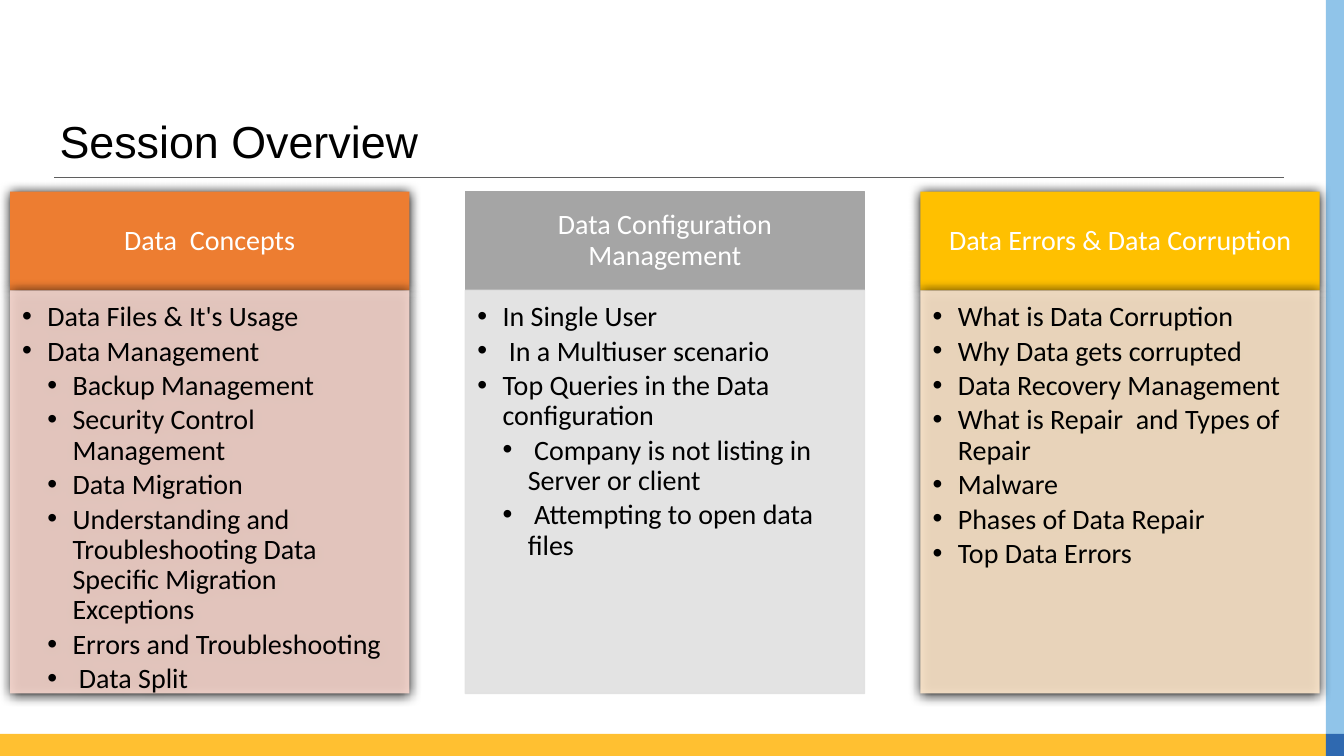
from dataclasses import dataclass

from lxml import etree
from pptx import Presentation
from pptx.dml.color import RGBColor
from pptx.enum.shapes import MSO_CONNECTOR, MSO_SHAPE
from pptx.enum.text import MSO_ANCHOR, MSO_AUTO_SIZE, PP_ALIGN
from pptx.oxml.ns import qn
from pptx.util import Inches, Pt

RECT = MSO_SHAPE.RECTANGLE
STRAIGHT = MSO_CONNECTOR.STRAIGHT
TOP, MIDDLE = MSO_ANCHOR.TOP, MSO_ANCHOR.MIDDLE
LEFT, CENTER = PP_ALIGN.LEFT, PP_ALIGN.CENTER
NO_FIT = MSO_AUTO_SIZE.NONE


@dataclass(frozen=True)
class Theme:
    title_font: str = "Arial"
    body_font: str = "Calibri"
    title_size: int = 32
    body_size: int = 20
    text: str = "000000"
    header_text: str = "FFFFFF"
    rule: str = "5F5F5F"
    bottom_bar: str = "FFC031"
    side_bar: str = "90C4E9"
    corner: str = "2F69B0"


THEME = Theme()

COLUMNS = [
    {"header": "Data  Concepts", "dark": "ED7D31", "light": "F8D7CE", "raised": True,
     "items": [(0, "Data Files & It's Usage"), (0, "Data Management"),
               (1, "Backup Management"), (1, "Security Control Management"),
               (1, "Data Migration"),
               (1, "Understanding and Troubleshooting Data Specific Migration Exceptions"),
               (1, "Errors and Troubleshooting"), (1, " Data Split")]},
    {"header": "Data Configuration Management", "dark": "A5A5A5", "light": "E1E1E1",
     "raised": False,
     "items": [(0, "In Single User"), (0, " In a Multiuser scenario"),
               (0, "Top Queries in the Data configuration"),
               (1, " Company is not listing in Server or client"),
               (1, " Attempting to open data files")]},
    {"header": "Data Errors & Data Corruption", "dark": "FFC000", "light": "FFE8CC",
     "raised": True,
     "items": [(0, "What is Data Corruption"), (0, "Why Data gets corrupted"),
               (0, "Data Recovery Management"),
               (0, "What is Repair  and Types of Repair"), (0, "Malware"),
               (0, "Phases of Data Repair"), (0, "Top Data Errors")]},
]


def set_attrs(target, values):
    for name, value in values.items():
        setattr(target, name, value)


def frame_format(anchor, left, top, right, bottom):
    return {"word_wrap": True, "auto_size": NO_FIT, "vertical_anchor": anchor,
            "margin_left": Inches(left), "margin_top": Inches(top),
            "margin_right": Inches(right), "margin_bottom": Inches(bottom)}


def write(p, text, font, size, color, align=LEFT, after=0):
    set_attrs(p, {"alignment": align, "line_spacing": 0.9,
                  "space_before": Pt(0), "space_after": Pt(after)})
    r = p.add_run()
    r.text = text
    set_attrs(r.font, {"name": font, "size": Pt(size), "bold": False})
    r.font.color.rgb = RGBColor.from_string(color)


def add_bullet(p, level):
    p.level = level
    pPr = p._p.get_or_add_pPr()
    pPr.set("marL", str(Inches(0.25 * (level + 1))))
    pPr.set("indent", str(-Inches(0.25)))
    etree.SubElement(pPr, qn("a:buFont")).set("typeface", "Arial")
    etree.SubElement(pPr, qn("a:buChar")).set("char", "•")


def add_panel(s, box, color, outlined=False):
    sp = s.shapes.add_shape(RECT, *(Inches(v) for v in box))
    sp.shadow.inherit = False
    sp.fill.solid()
    sp.fill.fore_color.rgb = RGBColor.from_string(color)
    if outlined:
        sp.line.color.rgb = RGBColor.from_string(color)
        sp.line.width = Pt(1)
    else:
        sp.line.fill.background()
    return sp


def add_shadow(sp):
    effects = sp._element.spPr.find(qn("a:effectLst"))
    shadow = etree.SubElement(effects, qn("a:outerShdw"), blurRad=str(Pt(8.5)),
                              dist=str(Pt(1)), dir="5400000", rotWithShape="0")
    etree.SubElement(shadow, qn("a:srgbClr"), val="000000")


def set_alpha(sp, percent):
    for color in sp._element.spPr.iterfind(".//" + qn("a:solidFill") + "/" + qn("a:srgbClr")):
        etree.SubElement(color, qn("a:alpha"), val=str(percent * 1000))


def add_frame(s, box):
    x, y, w, h = box
    bar, side = 0.22, 0.18
    add_panel(s, (x, y + h - bar, w - side, bar), THEME.bottom_bar)
    add_panel(s, (x + w - side, y, side, h - bar), THEME.side_bar)
    add_panel(s, (x + w - side, y + h - bar, side, bar), THEME.corner)


def add_title(s, box, text):
    x, y, w, h = box
    title = s.shapes.title
    set_attrs(title, {"left": Inches(x), "top": Inches(y),
                      "width": Inches(w), "height": Inches(h)})
    tf = title.text_frame
    set_attrs(tf, frame_format(MIDDLE, 0.1, 0.05, 0.1, 0.05))
    write(tf.paragraphs[0], text, THEME.title_font, THEME.title_size, THEME.text)
    rule_x, rule_y = x + 0.05, y + h + 0.08
    rule = s.shapes.add_connector(STRAIGHT, Inches(rule_x), Inches(rule_y),
                                  Inches(rule_x + w), Inches(rule_y))
    rule.line.color.rgb = RGBColor.from_string(THEME.rule)
    rule.line.width = Pt(0.82)
    etree.SubElement(rule._element.spPr, qn("a:effectLst"))


def add_column(s, box, column):
    x, y, w, h = box
    header_h = 0.98
    outlined = not column["raised"]
    header = add_panel(s, (x, y, w, header_h), column["dark"], outlined)
    body = add_panel(s, (x, y + header_h, w, h - header_h), column["light"], outlined)
    set_alpha(body, 90)
    if column["raised"]:
        add_shadow(header)
        add_shadow(body)

    tf = header.text_frame
    set_attrs(tf, frame_format(MIDDLE, 0.16, 0.09, 0.16, 0.09))
    write(tf.paragraphs[0], column["header"], THEME.body_font, THEME.body_size,
          THEME.header_text, CENTER)

    tf = body.text_frame
    set_attrs(tf, frame_format(TOP, 0.12, 0.12, 0.16, 0.17))
    for i, (level, text) in enumerate(column["items"]):
        p = tf.add_paragraph() if i else tf.paragraphs[0]
        add_bullet(p, level)
        write(p, text, THEME.body_font, THEME.body_size, THEME.text, after=3)


def add_columns(s, box, columns):
    x, y, w, h = box
    column_w = 3.96
    pitch = (w - column_w) / (len(columns) - 1)
    for i, column in enumerate(columns):
        add_column(s, (x + i * pitch, y, column_w, h), column)


def main():
    prs = Presentation()
    prs.slide_width, prs.slide_height = Inches(13.33), Inches(7.5)
    s = prs.slides.add_slide(prs.slide_layouts[5])
    add_frame(s, (0, 0, 13.33, 7.5))
    add_title(s, (0.49, 1.18, 12.2, 0.5), "Session Overview")
    add_columns(s, (0.1, 1.9, 12.99, 4.98), COLUMNS)
    prs.save("out.pptx")


if __name__ == "__main__":
    main()
